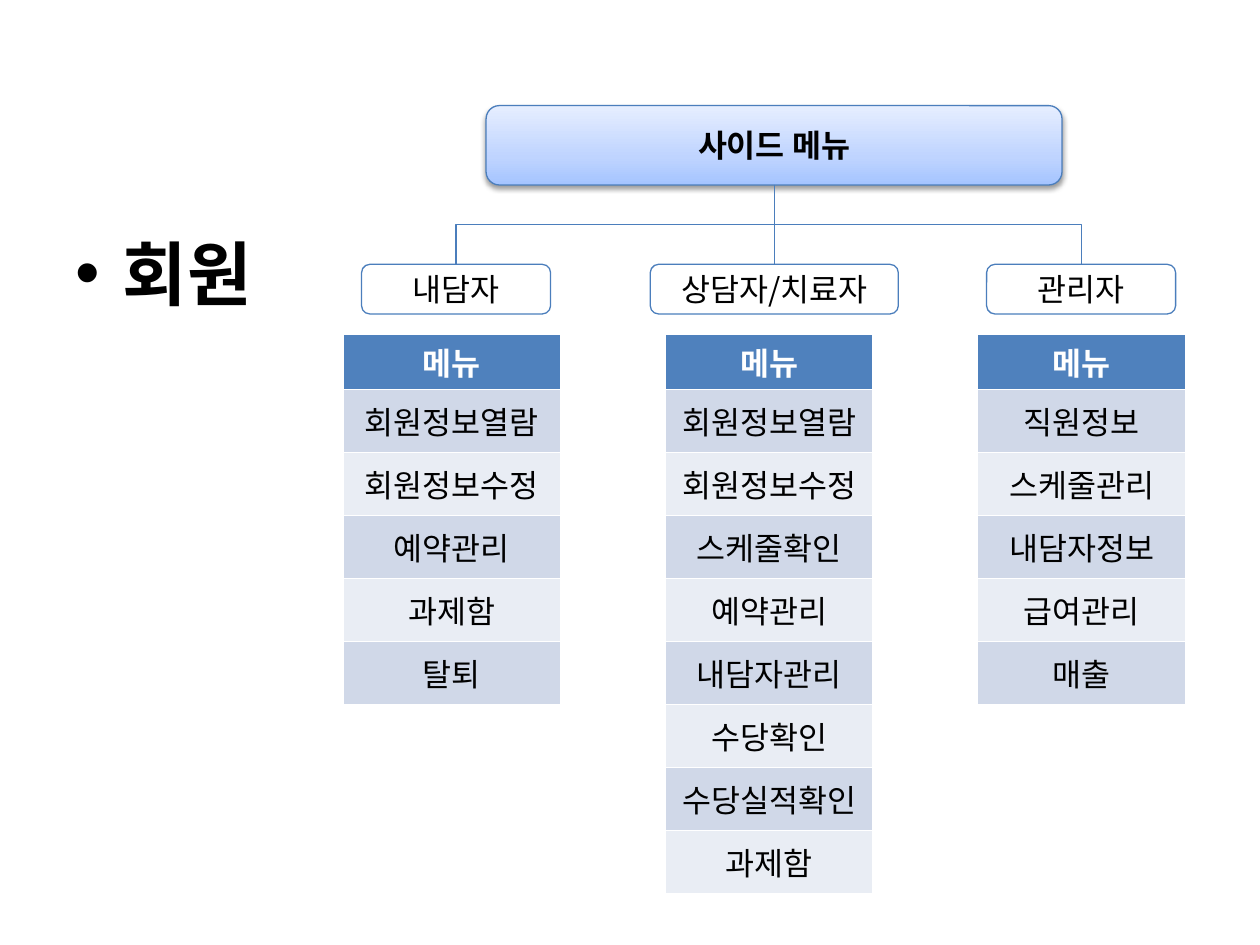
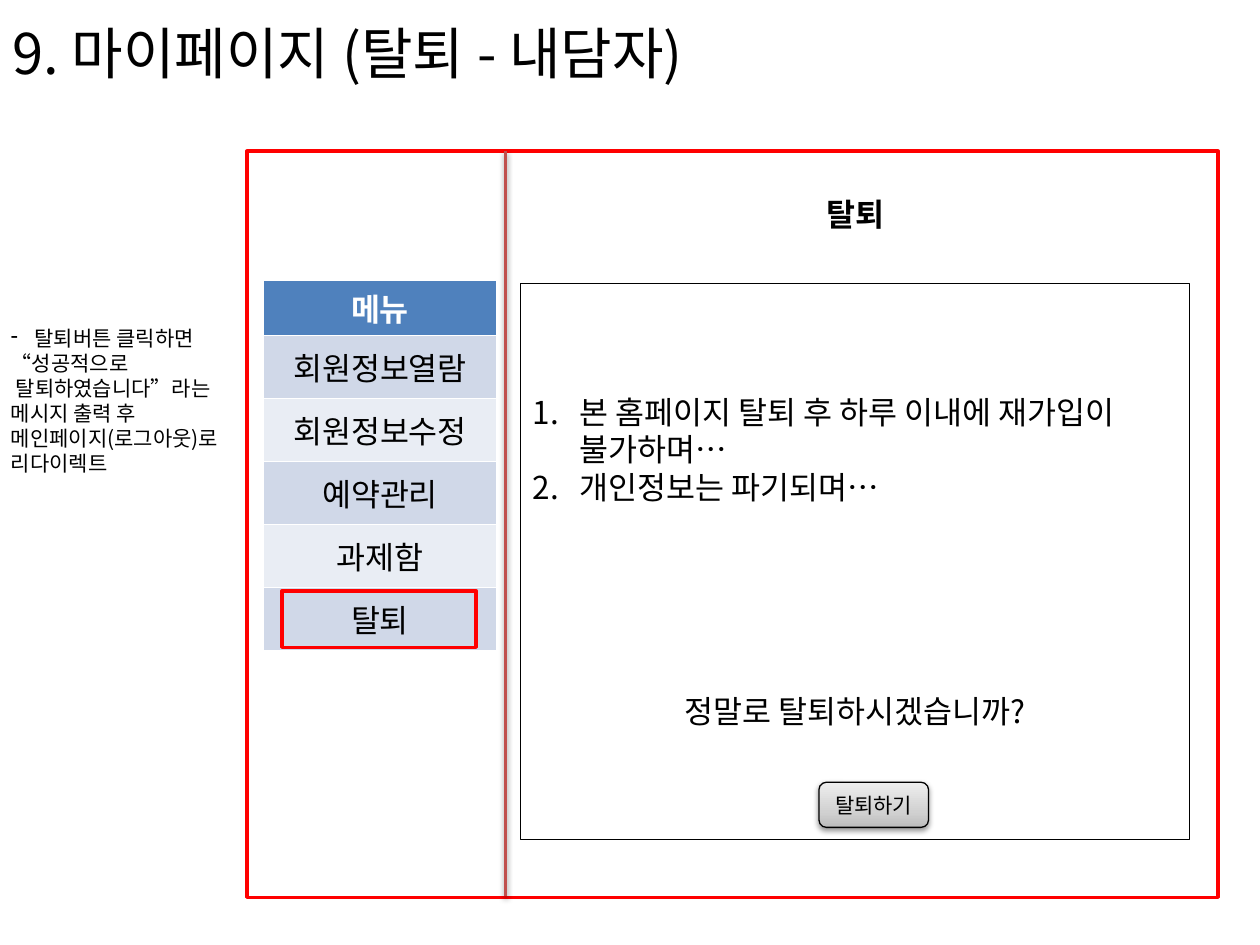
"""Builds two slides on the side menus and the membership withdrawal page."""
from pptx import Presentation
from pptx.dml.color import RGBColor as Rgb
from pptx.enum.shapes import MSO_CONNECTOR as Link, MSO_SHAPE as Shape
from pptx.enum.text import MSO_ANCHOR as Anchor, PP_ALIGN as Align
from pptx.oxml.ns import qn
from pptx.util import Cm, Pt
from lxml.etree import SubElement

FONT = "Noto Sans CJK KR"
LINE_FACTOR = 1.19
HEADER_HEIGHT, ROW_HEIGHT = 1.12, 1.27
COLORS = {
    "text": "000000", "paper": "FFFFFF", "outline": "4B7EBC",
    "mark": "FF0000", "divider": "C0504D", "header": "4F81BD",
    "odd": "D0D8E8", "even": "E9EDF4", "shadow": "000000",
}
BLUE_STOPS = ((0, "A4C4FF"), (35, "BFD4FF"), (100, "E6EEFF"))
GRAY_STOPS = ((0, "BDBDBD"), (35, "D1D1D1"), (100, "EEEEEE"))
CLIENT_MENU = ["회원정보열람", "회원정보수정", "예약관리", "과제함", "탈퇴"]
COUNSELOR_MENU = ["회원정보열람", "회원정보수정", "스케줄확인", "예약관리",
                  "내담자관리", "수당확인", "수당실적확인", "과제함"]
MANAGER_MENU = ["직원정보", "스케줄관리", "내담자정보", "급여관리", "매출"]
ROLES = (
    ("내담자", 7.29, 3.81, CLIENT_MENU, 6.91, 4.39),
    ("상담자/치료자", 13.11, 5, COUNSELOR_MENU, 13.41, 4.19),
    ("관리자", 19.89, 3.81, MANAGER_MENU, 19.71, 4.19),
)
NOTE_LINES = ["탈퇴버튼 클릭하면", "“성공적으로", "탈퇴하였습니다”라는",
              "메시지 출력 후", "메인페이지(로그아웃)로", "리다이렉트"]


def color(name):
    return Rgb.from_string(COLORS[name])


def write(para, text, size=18, bold=False, ink="text", align=None):
    para.alignment = align
    span = para.add_run()
    span.text = text
    span.font.size, span.font.bold, span.font.name = Pt(size), bold, FONT
    span.font.color.rgb = color(ink)
    SubElement(span.font._element, qn("a:ea"), typeface=FONT)


def set_indent(para, left, first=0, bullet=None, **values):
    props = para._p.get_or_add_pPr()
    props.set("marL", str(Cm(left)))
    props.set("indent", str(Cm(first)))
    if bullet:
        SubElement(props, qn(bullet), **values)


def set_lines(frame, size):
    for para in frame.paragraphs:
        para.line_spacing = Pt(round(size * LINE_FACTOR, 1))


def place(box, left, top, width, height):
    box.left, box.top, box.width, box.height = map(Cm, (left, top, width, height))


def add_shadow(effects):
    shadow = SubElement(effects, qn("a:outerShdw"), blurRad=str(Pt(3.1)),
                        dist=str(Pt(1.6)), dir="5400000", rotWithShape="0")
    tint = SubElement(shadow, qn("a:srgbClr"), val=COLORS["shadow"])
    SubElement(tint, qn("a:alpha"), val="38000")


def fill_gradient(box, stops):
    box.fill.gradient()
    box.fill.gradient_angle = 90
    stop_list = box._element.spPr.find(qn("a:gradFill")).find(qn("a:gsLst"))
    for stop in list(stop_list):
        stop_list.remove(stop)
    for percent, value in stops:
        stop = SubElement(stop_list, qn("a:gs"), pos=str(percent * 1000))
        SubElement(stop, qn("a:srgbClr"), val=value)


def add_box(page, kind, place_cm, outline, weight=0.75, fill=None, stops=None):
    box = page.shapes.add_shape(kind, *map(Cm, place_cm))
    box.shadow.inherit = False
    box.line.color.rgb, box.line.width = color(outline), Pt(weight)
    if stops:
        fill_gradient(box, stops)
        add_shadow(box._element.spPr.find(qn("a:effectLst")))
    elif fill:
        box.fill.solid()
        box.fill.fore_color.rgb = color(fill)
    else:
        box.fill.background()
    box.text_frame.vertical_anchor = Anchor.MIDDLE
    return box


def add_label_box(page, text, place_cm, outline, size=18, bold=False, stops=None):
    box = add_box(page, Shape.ROUNDED_RECTANGLE, place_cm, outline, stops=stops)
    frame = box.text_frame
    frame.margin_left = frame.margin_right = 0
    frame.margin_top = frame.margin_bottom = 0
    write(frame.paragraphs[0], text, size, bold, align=Align.CENTER)


def add_line(page, kind, start, end, ink, weight):
    line = page.shapes.add_connector(kind, *map(Cm, (*start, *end)))
    line.line.color.rgb, line.line.width = color(ink), Pt(weight)
    return line, SubElement(line._element.spPr, qn("a:effectLst"))


def add_branch(page, start, end):
    """Draws an elbow that leaves downwards, as a turned sideways elbow."""
    across, drop = end[0] - start[0], end[1] - start[1]
    middle_x, middle_y = (start[0] + end[0]) / 2, (start[1] + end[1]) / 2
    half_drop, half_across = drop / 2, abs(across) / 2
    branch, _ = add_line(page, Link.ELBOW,
                         (middle_x - half_drop, middle_y - half_across),
                         (middle_x + half_drop, middle_y + half_across),
                         "outline", 0.75)
    frame = branch._element.spPr.find(qn("a:xfrm"))
    frame.set("rot", str((270 if across > 0 else 90) * 60000))
    if across > 0:
        frame.set("flipH", "1")


def add_menu(page, items, left, top, width):
    height = HEADER_HEIGHT + ROW_HEIGHT * len(items)
    table = page.shapes.add_table(len(items) + 1, 1, Cm(left), Cm(top),
                                  Cm(width), Cm(height)).table
    for index, text in enumerate(["메뉴", *items]):
        is_header = index == 0
        table.rows[index].height = Cm(HEADER_HEIGHT if is_header else ROW_HEIGHT)
        cell = table.cell(index, 0)
        cell.vertical_anchor = Anchor.MIDDLE
        cell.margin_left = cell.margin_right = 0
        cell.margin_top = cell.margin_bottom = Cm(0.08)
        cell.fill.solid()
        band = "odd" if index % 2 else "even"
        cell.fill.fore_color.rgb = color("header" if is_header else band)
        write(cell.text_frame.paragraphs[0], text, bold=is_header,
              ink="paper" if is_header else "text", align=Align.CENTER)


def add_text_box(page, place_cm):
    frame = page.shapes.add_textbox(*map(Cm, place_cm)).text_frame
    frame.word_wrap = False
    return frame


def add_note(page):
    frame = add_text_box(page, (-0.03, 6.45, 5, 3.33))
    frame.margin_right = 0
    for index, text in enumerate(NOTE_LINES):
        para = frame.add_paragraph() if index else frame.paragraphs[0]
        if index == 0:
            set_indent(para, 0.48, -0.48, "a:buChar", char="-")
        elif index == 2:
            set_indent(para, 0.1)
        write(para, text, 12)
    set_lines(frame, 12)


def add_warning_panel(page):
    panel = add_box(page, Shape.RECTANGLE, (10.49, 5.72, 13.49, 11.2), "text")
    frame = panel.text_frame
    rules = ("본 홈페이지 탈퇴 후 하루 이내에 재가입이 불가하며…", "개인정보는 파기되며…")
    for index, text in enumerate(rules):
        para = frame.add_paragraph() if index else frame.paragraphs[0]
        set_indent(para, 0.95, -0.95, "a:buAutoNum", type="arabicPeriod")
        write(para, text, align=Align.LEFT)
    question = frame.add_paragraph()
    write(question, "정말로 탈퇴하시겠습니까?", align=Align.CENTER)
    set_lines(frame, 18)
    question.space_before = Pt(107)


def build_menu_page(deck):
    page = deck.slides.add_slide(deck.slide_layouts[1])
    title = page.shapes.title._element
    title.getparent().remove(title)
    body = page.placeholders[1]
    place(body, 1.27, 4.45, 22.86, 12.57)
    write(body.text_frame.paragraphs[0], "회원", 40, True)
    body.text_frame.paragraphs[0].line_spacing = Pt(50)
    for name, left, width, *_ in ROLES:
        add_label_box(page, name, (left, 5.33, width, 1), "outline")
    add_label_box(page, "사이드 메뉴", (9.8, 2.13, 11.61, 1.6), "outline",
                  bold=True, stops=BLUE_STOPS)
    for _, left, width, items, menu_left, menu_width in ROLES:
        add_branch(page, (15.61, 3.73), (left + width / 2, 5.33))
        add_menu(page, items, menu_left, 6.73, menu_width)


def build_withdrawal_page(deck):
    page = deck.slides.add_slide(deck.slide_layouts[5])
    add_box(page, Shape.RECTANGLE, (4.98, 3.05, 19.58, 15.04), "mark", 2, "paper")
    title = page.shapes.title
    place(title, 0, -0.03, 24.66, 2.16)
    title.text_frame.vertical_anchor = Anchor.MIDDLE
    write(title.text_frame.paragraphs[0], "9. 마이페이지 (탈퇴 - 내담자)", 32,
          align=Align.LEFT)
    add_menu(page, CLIENT_MENU, 5.31, 5.64, 4.7)
    _, effects = add_line(page, Link.STRAIGHT, (10.19, 3.05), (10.19, 18.06),
                          "divider", 2)
    add_shadow(effects)
    heading = add_text_box(page, (16.36, 3.81, 1.78, 1.02))
    write(heading.paragraphs[0], "탈퇴", bold=True, align=Align.CENTER)
    add_box(page, Shape.RECTANGLE, (5.69, 11.91, 3.91, 1.14), "mark", 2)
    add_warning_panel(page)
    add_note(page)
    add_label_box(page, "탈퇴하기", (16.51, 15.77, 2.21, 0.91), "text", 12,
                  stops=GRAY_STOPS)


def main():
    deck = Presentation()
    deck.slide_width, deck.slide_height = Cm(25.4), Cm(19.05)
    build_menu_page(deck)
    build_withdrawal_page(deck)
    deck.save("out.pptx")


if __name__ == "__main__":
    main()
